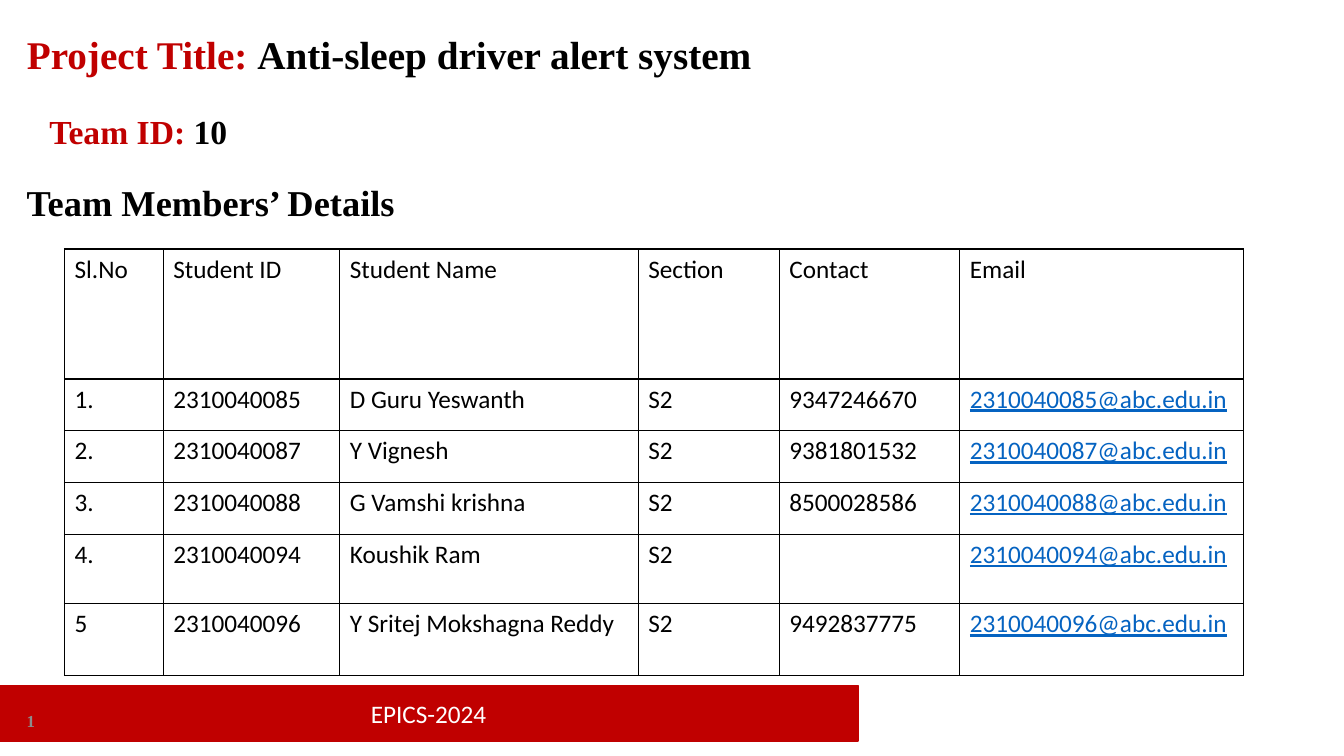
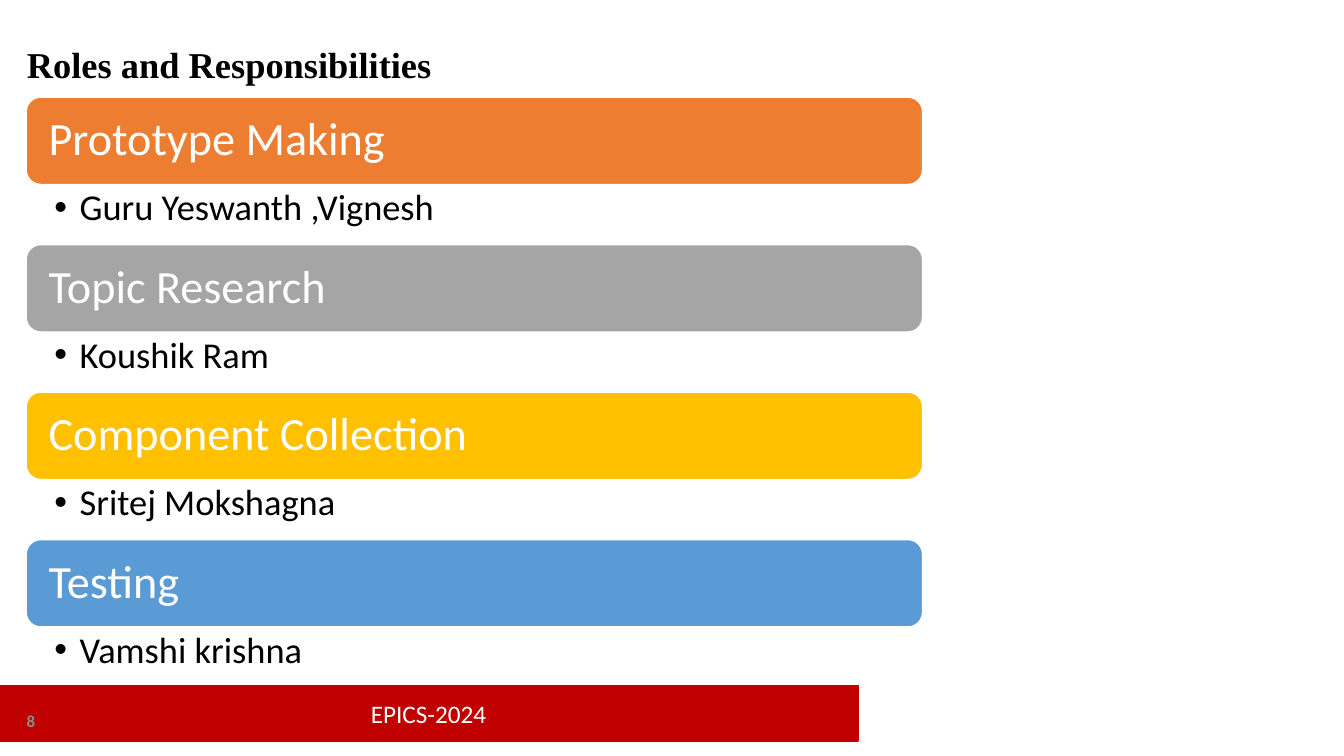
from lxml import etree
from pptx import Presentation
from pptx.dml.color import RGBColor
from pptx.enum.shapes import MSO_SHAPE
from pptx.enum.text import MSO_ANCHOR, MSO_AUTO_SIZE, PP_ALIGN
from pptx.oxml.ns import qn
from pptx.util import Inches, Pt

RECT, ROUND = MSO_SHAPE.RECTANGLE, MSO_SHAPE.ROUNDED_RECTANGLE
TOP, MIDDLE = MSO_ANCHOR.TOP, MSO_ANCHOR.MIDDLE
LEFT, CENTER = PP_ALIGN.LEFT, PP_ALIGN.CENTER
NO_FIT = MSO_AUTO_SIZE.NONE

RED = RGBColor(0xC0, 0x00, 0x00)
BLACK = RGBColor(0x00, 0x00, 0x00)
WHITE = RGBColor(0xFF, 0xFF, 0xFF)
GREY = RGBColor(0x8C, 0x8C, 0x8C)
LINK = RGBColor(0x05, 0x63, 0xC1)
ORANGE = RGBColor(0xED, 0x7D, 0x31)
SILVER = RGBColor(0xA5, 0xA5, 0xA5)
GOLD = RGBColor(0xFF, 0xC0, 0x00)
BLUE = RGBColor(0x5B, 0x9B, 0xD5)

SANS, SERIF = "Calibri", "Times New Roman"
ROWS = 45  # square grid cells down the slide, 80 across


class Deck:
    """Holds the shared style and the current slide."""

    def __init__(self):
        self.prs = Presentation()
        self.prs.slide_width, self.prs.slide_height = Inches(13.33), Inches(7.5)
        self.cell = self.prs.slide_height / ROWS
        self.s = None

    def size(self, cells):
        return int(cells * self.cell)

    def put_text(self, sp, runs, anchor=TOP, align=LEFT, spacing=1.0, insets=None, **fmt):
        """Fill a shape with one paragraph of (text, colour) runs."""
        tf = sp.text_frame
        frame = dict(word_wrap=True, auto_size=NO_FIT, vertical_anchor=anchor)
        for name, value in {**frame, **(insets or {})}.items():
            setattr(tf, name, value)
        p = tf.paragraphs[0]
        p.alignment, p.line_spacing = align, spacing
        for text, colour in runs:
            r = p.add_run()
            r.text = text
            r.font.color.rgb = colour
            for name, value in fmt.items():
                setattr(r.font, name, value)
        return p

    def new_slide(self, title, box, number, number_font, **fmt):
        self.s = self.prs.slides.add_slide(self.prs.slide_layouts[5])
        # Footer band and slide number
        self.block(RECT, (-0.06, 40.8, 51.12, 3.3), RED, RED, "EPICS-2024",
                   align=CENTER, size=Pt(18))
        self.text([(number, GREY)], (1, 41.7, 18, 2.4), anchor=MIDDLE,
                  name=number_font, size=Pt(12), bold=True)
        # Title
        sp = self.s.shapes.title
        sp.left, sp.top, sp.width, sp.height = map(self.size, box)
        self.put_text(sp, title, name=SERIF, bold=True, **fmt)

    def text(self, runs, box, **fmt):
        sp = self.s.shapes.add_textbox(*map(self.size, box))
        return self.put_text(sp, runs, **fmt)

    def block(self, kind, box, fill, line, label, **fmt):
        sp = self.s.shapes.add_shape(kind, *map(self.size, box))
        sp.shadow.inherit = False
        sp.fill.solid()
        sp.fill.fore_color.rgb = fill
        sp.line.color.rgb = line
        sp.line.width = Pt(1)
        self.put_text(sp, [(label, WHITE)], anchor=MIDDLE, name=SANS, **fmt)

    def bullet(self, label, box, **fmt):
        p = self.text([(label, BLACK)], box, name=SANS, **fmt)
        pPr = p._p.get_or_add_pPr()
        pPr.set("marL", str(Inches(0.25)))
        pPr.set("indent", str(-Inches(0.25)))
        etree.SubElement(pPr, qn("a:buFont"), typeface="Arial")
        etree.SubElement(pPr, qn("a:buChar"), char="•")

    def border(self, cell):
        tcPr = cell._tc.get_or_add_tcPr()
        for side in ("L", "R", "T", "B"):
            ln = etree.SubElement(tcPr, qn("a:ln" + side), w=str(Pt(1)))
            fill = etree.SubElement(ln, qn("a:solidFill"))
            etree.SubElement(fill, qn("a:srgbClr"), val=str(BLACK))

    def table(self, rows, left, top, widths, heights):
        box = (left, top, sum(widths), sum(heights))
        frame = self.s.shapes.add_table(len(rows), len(widths), *map(self.size, box))
        table = frame.table
        table.first_row = table.horz_banding = False
        for column, width in zip(table.columns, widths):
            column.width = self.size(width)
        for row, height, values in zip(table.rows, heights, rows):
            row.height = self.size(height)
            for cell, value in zip(row.cells, values):
                self.border(cell)
                cell.fill.background()
                r = cell.text_frame.paragraphs[0].add_run()
                r.text = value
                is_mail = "@" in value
                for name, setting in dict(name=SANS, size=Pt(18), underline=is_mail).items():
                    setattr(r.font, name, setting)
                r.font.color.rgb = LINK if is_mail else BLACK


def main():
    deck = Deck()

    # Slide 1: project and team
    deck.new_slide([("Project Title: ", RED), ("Anti-sleep driver alert system", BLACK)],
                   (1, 1.5, 46, 3.4), "1", SERIF, size=Pt(28))
    deck.text([("Team Members’ Details", BLACK)], (1, 10.45, 40, 3.25),
              name=SERIF, size=Pt(26), bold=True)
    members = [
        ("1.", "2310040085", "D Guru Yeswanth", "9347246670"),
        ("2.", "2310040087", "Y Vignesh", "9381801532"),
        ("3.", "2310040088", "G Vamshi krishna", "8500028586"),
        ("4.", "2310040094", "Koushik Ram", ""),
        ("5", "2310040096", "Y Sritej Mokshagna Reddy", "9492837775"),
    ]
    rows = [("Sl.No", "Student ID", "Student Name", "Section", "Contact", "Email")]
    rows += [(no, sid, name, "S2", phone, f"{sid}@abc.edu.in")
             for no, sid, name, phone in members]
    deck.table(rows, 3.84, 14.82, (5.88, 10.5, 17.76, 8.4, 10.74, 16.86),
               (7.74, 3.08, 3.08, 3.08, 4.14, 4.26))
    deck.text([("Team ID: ", RED), ("10", BLACK)], (2.34, 6.3, 40, 3),
              name=SERIF, size=Pt(24), bold=True)

    # Slide 2: roles, each with the people in charge
    deck.new_slide([("Roles and Responsibilities", BLACK)], (1, 0.9, 65.4, 4.1),
                   "8", SANS, size=Pt(26), spacing=1.5)
    roles = [
        ("Prototype Making", "Guru Yeswanth ,Vignesh", ORANGE),
        ("Topic Research", "Koushik Ram", SILVER),
        ("Component Collection", "Sritej Mokshagna", GOLD),
        ("Testing", "Vamshi krishna", BLUE),
    ]
    left, top, width, bar, detail = 1.56, 5.78, 53.34, 5.2, 3.58
    for i, (role, people, colour) in enumerate(roles):
        y = top + i * (bar + detail)
        deck.block(ROUND, (left, y, width, bar), colour, WHITE, role, size=Pt(33),
                   spacing=0.9, insets=dict(margin_left=Inches(0.18)))
        deck.bullet(people, (left, y + bar, width, detail), size=Pt(26), spacing=0.9,
                    insets=dict(margin_left=Inches(0.28), margin_right=Inches(0.26)))

    deck.prs.save("out.pptx")


if __name__ == "__main__":
    main()
